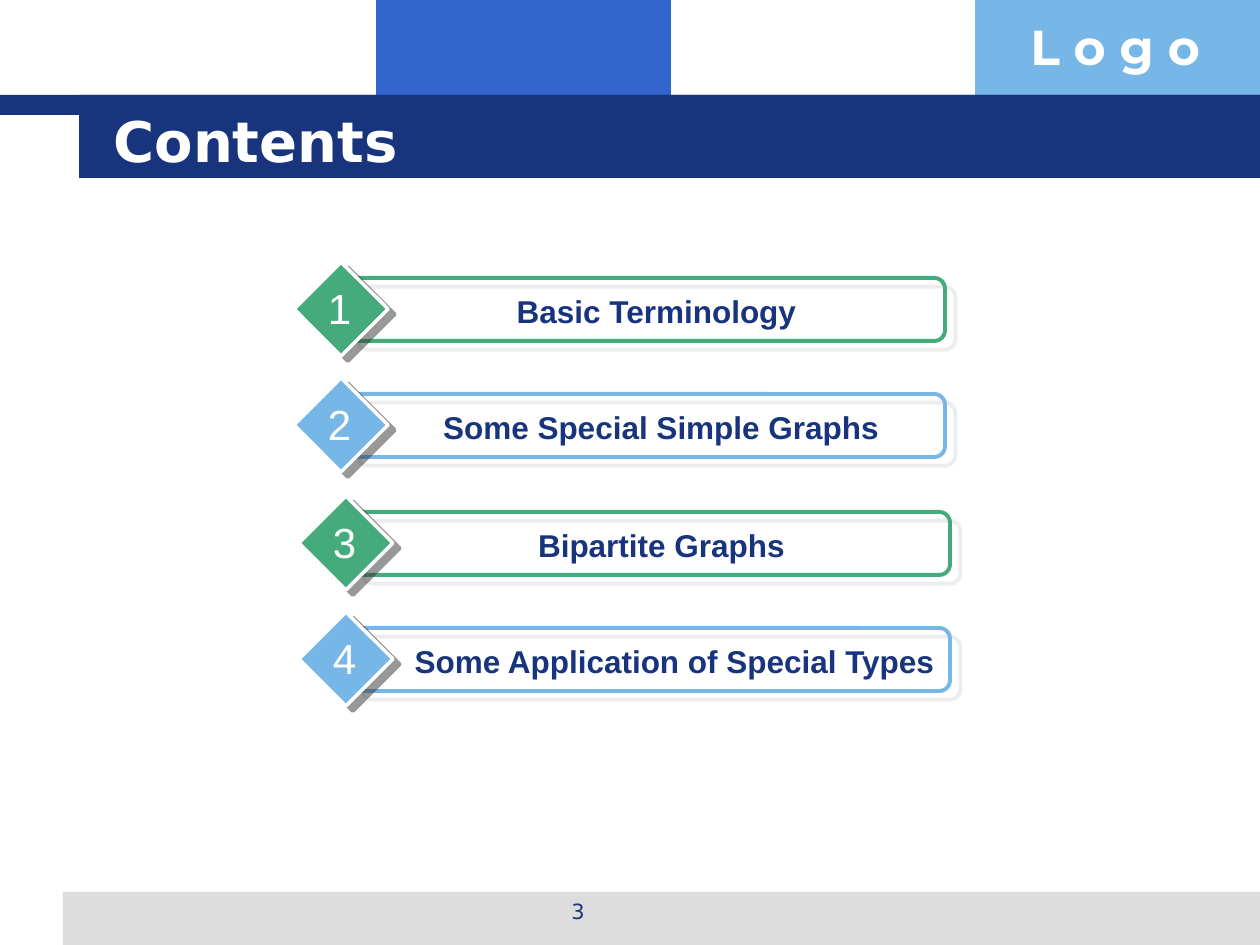
from lxml import etree
from pptx import Presentation, util as u
from pptx.dml.color import RGBColor
from pptx.enum import shapes, text
from pptx.oxml import ns

SCALE = 914400 / 126  # EMU per px
NAVY, BLUE, SKY = "17347D", "3366CC", "77B7E7"
GREEN, GREY, WHITE = "45AB7D", "DDDDDD", "FFFFFF"
SHAPE = shapes.MSO_SHAPE
ALIGN = text.PP_ALIGN


def px(length):
    return u.Emu(round(length * SCALE))


def colour(value):
    return RGBColor.from_string(value)


def add_shadow(shape, value, distance, angle):
    """Give a shape a hard, half-transparent offset shadow."""
    effects = shape._element.spPr.find(ns.qn("a:effectLst"))
    shadow = etree.SubElement(
        effects, ns.qn("a:outerShdw"), blurRad="0", dist=str(u.Pt(distance)),
        dir=str(angle * 60000), algn="ctr", rotWithShape="0")
    tint = etree.SubElement(shadow, ns.qn("a:srgbClr"), val=value)
    etree.SubElement(tint, ns.qn("a:alpha"), val="50000")


def add_block(page, kind, at, fill=None, line=None, width=1):
    shape = page.shapes.add_shape(kind, *map(px, at))
    shape.shadow.inherit = False
    if fill:
        shape.fill.solid()
        shape.fill.fore_color.rgb = colour(fill)
    else:
        shape.fill.background()
    if line:
        shape.line.color.rgb = colour(line)
        shape.line.width = u.Pt(width)
    else:
        shape.line.fill.background()
    return shape


def write(box, words, size, font, value, bold=False, align=ALIGN.LEFT):
    para = box.text_frame.paragraphs[0]
    para.alignment = align
    span = para.add_run()
    span.text = words
    span.font.size = u.Pt(size)
    span.font.name = font
    span.font.bold = bold
    span.font.color.rgb = colour(value)


def add_text(page, at, words, size, font, value, bold=False,
             align=ALIGN.CENTER, wrap=True, grow=True):
    box = page.shapes.add_textbox(*map(px, at))
    box.text_frame.word_wrap = wrap
    if grow:
        box.text_frame.auto_size = text.MSO_AUTO_SIZE.SHAPE_TO_FIT_TEXT
    write(box, words, size, font, value, bold, align)


def add_title(page, at, words):
    title = page.shapes.title
    title.left, title.top, title.width, title.height = map(px, at)
    title.text_frame.vertical_anchor = text.MSO_ANCHOR.MIDDLE
    title.text_frame.auto_size = text.MSO_AUTO_SIZE.NONE
    write(title, words, 32, "DejaVu Sans", WHITE, bold=True)


def add_entry(page, left, top, number, words, accent, label_left, label_width):
    """Draw one contents line: framed label with a numbered diamond."""
    frame = add_block(page, SHAPE.ROUNDED_RECTANGLE,
                      (left + 53, top + 16, 598, 63), line=accent, width=2.25)
    frame.adjustments[0] = 0.17
    add_shadow(frame, GREY, 7.8, 40)
    diamond = add_block(page, SHAPE.DIAMOND, (left, top, 94, 94),
                        accent, WHITE, 2)
    add_shadow(diamond, "333333", 5, 37)
    add_text(page, (label_left, top + 24, label_width, 50), words,
             18, "Arial", NAVY, bold=True)
    add_text(page, (left + 21, top + 14, 49, 63), str(number),
             24, "Arial", WHITE, wrap=False)


def main():
    deck = Presentation()
    deck.slide_width, deck.slide_height = u.Inches(10), u.Inches(7.5)
    page = deck.slides.add_slide(deck.slide_layouts[5])

    # Header and footer bands
    bands = [
        ((376, 0, 295, 116), BLUE),
        ((975, 0, 285, 116), SKY),
        ((63, 892, 1197, 53), GREY),
        ((0, 95, 1260, 20), NAVY),
        ((79, 95, 1181, 83), NAVY),
    ]
    for at, fill in bands:
        add_block(page, SHAPE.RECTANGLE, at, fill)
    add_text(page, (1018, 10, 243, 72), "L o g o", 28, "Montserrat", WHITE,
             bold=True, align=ALIGN.LEFT)
    add_text(page, (431, 892, 294, 44), "3", 12, "DejaVu Sans", NAVY,
             grow=False)

    # Title, moved in front of the bands
    add_title(page, (101, 101, 1075, 78), "Contents")
    page.shapes._spTree.append(page.shapes.title._element)

    # Contents entries: two pairs, the second slightly to the right
    entries = [
        ("Basic Terminology", 378, 557),
        ("Some Special Simple Graphs", 388, 546),
        ("Bipartite Graphs", 383, 557),
        ("Some Application of Special Types", 383, 583),
    ]
    for index, (words, label_left, label_width) in enumerate(entries):
        pair, place = divmod(index, 2)
        add_entry(page, 294 + 5 * pair, 262 + 234 * pair + 116 * place,
                  index + 1, words, (GREEN, SKY)[place],
                  label_left, label_width)

    deck.save("out.pptx")


if __name__ == "__main__":
    main()
